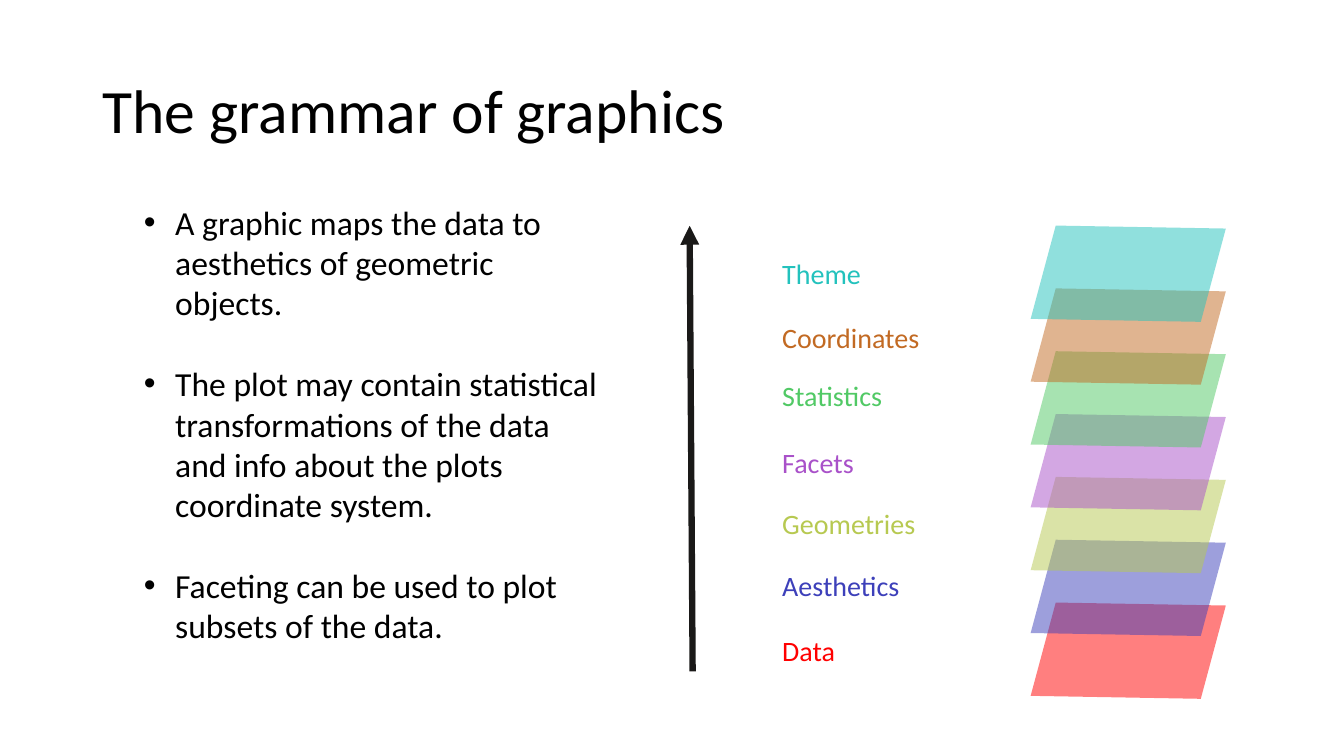
from lxml import etree
from pptx import Presentation
from pptx.dml.color import RGBColor
from pptx.enum.shapes import MSO_CONNECTOR, MSO_SHAPE
from pptx.enum.text import MSO_ANCHOR
from pptx.oxml.ns import qn
from pptx.util import Inches, Pt

FONT = "Calibri"
COLORS = {
    "text": "000000",
    "arrow": "1A1918",
    "Data": "FF0000",
    "Aesthetics": "3D40BA",
    "Geometries": "B7C951",
    "Facets": "A951C9",
    "Statistics": "51C965",
    "Coordinates": "C26A23",
    "Theme": "23C2BD",
}
LABEL_TOPS = {
    "Data": 6.24,
    "Aesthetics": 5.59,
    "Geometries": 4.98,
    "Facets": 4.37,
    "Statistics": 3.71,
    "Coordinates": 3.13,
    "Theme": 2.5,
}
BOTTOM_LAYER, TOP_LAYER = 5.99, 2.25
POINTS = [
    "A graphic maps the data to aesthetics of geometric objects.",
    "The plot may contain statistical transformations of the data "
    "and info about the plots coordinate system.",
    "Faceting can be used to plot subsets of the data.",
]


def rgb(name):
    return RGBColor.from_string(COLORS[name])


def add_text(s, box, lines, size, color="text"):
    sp = s.shapes.add_textbox(*map(Inches, box))
    tf = sp.text_frame
    tf.word_wrap = True
    tf.text = "\n".join(lines)
    for p in tf.paragraphs:
        for r in p.runs:
            r.font.name = FONT
            r.font.size = Pt(size)
            r.font.color.rgb = rgb(color)
    return tf


def add_title(s, text):
    tf = add_text(s, (0.92, 0.4, 11.5, 1.45), [text], 44)
    tf.vertical_anchor = MSO_ANCHOR.MIDDLE
    tf.paragraphs[0].line_spacing = 0.9


def add_bullets(s, box, lines):
    tf = add_text(s, box, lines, 24)
    for i, p in enumerate(tf.paragraphs):
        if i:
            p.space_before = Pt(29)
        pPr = p._p.get_or_add_pPr()
        pPr.set("marL", str(Inches(0.31)))
        pPr.set("indent", str(-Inches(0.31)))
        etree.SubElement(pPr, qn("a:buFont"), typeface="Arial")
        etree.SubElement(pPr, qn("a:buChar"), char="•")


def add_layer(s, top, color):
    sp = s.shapes.add_shape(MSO_SHAPE.PARALLELOGRAM, Inches(10.23), Inches(top),
                            Inches(1.92), Inches(0.93))
    sp.rotation = 181
    sp.shadow.inherit = False
    sp.fill.solid()
    sp.fill.fore_color.rgb = rgb(color)
    clr = sp._element.spPr.find(".//" + qn("a:srgbClr"))
    etree.SubElement(clr, qn("a:alpha"), val="50000")
    sp.line.fill.background()


def add_arrow(s, start, end):
    cx = s.shapes.add_connector(MSO_CONNECTOR.STRAIGHT, *map(Inches, start + end))
    cx.line.color.rgb = rgb("arrow")
    cx.line.width = Pt(4.5)
    etree.SubElement(cx.line._get_or_add_ln(), qn("a:tailEnd"), type="triangle")
    etree.SubElement(cx._element.spPr, qn("a:effectLst"))


def main():
    prs = Presentation()
    prs.slide_width = Inches(13.33)
    prs.slide_height = Inches(7.5)
    s = prs.slides.add_slide(prs.slide_layouts[6])
    add_title(s, "The grammar of graphics")
    step = (BOTTOM_LAYER - TOP_LAYER) / (len(LABEL_TOPS) - 1)
    for i, name in enumerate(LABEL_TOPS):
        add_layer(s, BOTTOM_LAYER - i * step, name)
    for name, top in LABEL_TOPS.items():
        add_text(s, (7.66, top, 1.73, 0.44), [name], 20, name)
    add_bullets(s, (1.33, 1.95, 4.73, 5.15), POINTS)
    add_arrow(s, (6.87, 6.66), (6.84, 2.24))
    prs.save("out.pptx")


main()
